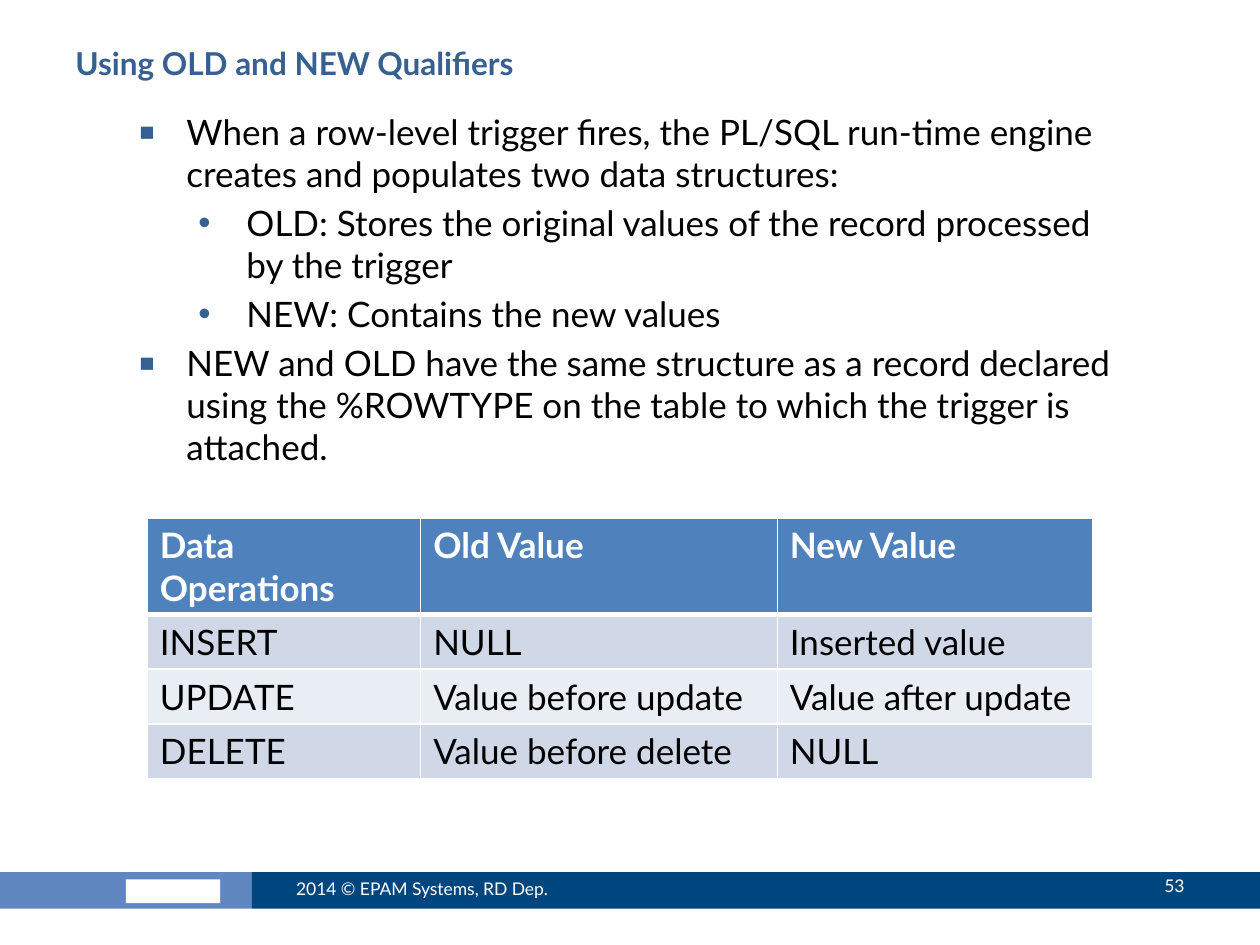
from lxml import etree
from pptx import Presentation
from pptx import util as u
from pptx.dml import color
from pptx.enum import shapes, text
from pptx.oxml import ns

HUES = {
    "white": "FFFFFF",
    "black": "000000",
    "title": "376092",
    "navy": "00467E",
    "steel": "6087BF",
    "head": "4F81BD",
    "odd": "D0D8E8",
    "even": "E9EDF4",
}
FONT = "Lato"
POINTS = [
    (0, "When a row-level trigger fires, the PL/SQL run-time engine creates and populates two data structures:"),
    (1, "OLD: Stores the original values of the record processed by the trigger"),
    (1, "NEW: Contains the new values"),
    (0, "NEW and OLD have the same structure as a record declared using the %ROWTYPE on the table to which the trigger is attached."),
]
MARKS = [
    {"char": "▪", "size": 140, "left": 0.97},
    {"char": "•", "size": 100, "left": 2.18},
]
HANG = 0.97
ROWS = [
    ["Data Operations", "Old Value", "New Value"],
    ["INSERT", "NULL", "Inserted value"],
    ["UPDATE", "Value before update", "Value after update"],
    ["DELETE", "Value before delete", "NULL"],
]
WIDTHS = [5.51, 7.19, 6.35]


def rgb(hue):
    return color.RGBColor.from_string(HUES[hue])


def put(item, **values):
    for name, value in values.items():
        setattr(item, name, value)


def ink(para, size, hue, bold=False):
    put(para.font, name=FONT, size=u.Pt(size), bold=bold)
    para.font.color.rgb = rgb(hue)


def node(parent, tag, **values):
    return etree.SubElement(parent, ns.qn(tag), values)


def frame(slide, box, anchor=text.MSO_ANCHOR.TOP):
    area = slide.shapes.add_textbox(*map(u.Cm, box)).text_frame
    put(area, word_wrap=True, vertical_anchor=anchor)
    return area


def label(slide, box, words, size, hue, bold=False,
          anchor=text.MSO_ANCHOR.TOP, align=text.PP_ALIGN.LEFT):
    para = frame(slide, box, anchor).paragraphs[0]
    put(para, text=words, alignment=align)
    ink(para, size, hue, bold)


def block(slide, box, hue):
    shape = slide.shapes.add_shape(shapes.MSO_SHAPE.RECTANGLE, *map(u.Cm, box))
    shape.shadow.inherit = False
    shape.fill.solid()
    shape.fill.fore_color.rgb = rgb(hue)
    shape.line.fill.background()


def bullet(para, char, size, left):
    props = para._p.get_or_add_pPr()
    props.set("marL", str(u.Cm(left)))
    props.set("indent", str(-u.Cm(HANG)))
    node(node(props, "a:buClr"), "a:srgbClr", val=HUES["title"])
    node(props, "a:buSzPct", val=str(size * 1000))
    node(props, "a:buFont", typeface="Arial")
    node(props, "a:buChar", char=char)


def body(slide, box):
    area = frame(slide, box)
    for i, (level, words) in enumerate(POINTS):
        para = area.add_paragraph() if i else area.paragraphs[0]
        put(para, text=words, level=level)
        if i:
            para.space_before = u.Pt(4)
        bullet(para, **MARKS[level])
        ink(para, 20, "black")


def border(cell, row):
    props = cell._tc.get_or_add_tcPr()
    wide = {"T": 3 if row == 1 else 1, "B": 3 if row == 0 else 1}
    for side in "LRTB":
        line = node(props, "a:ln" + side, w=str(u.Pt(wide.get(side, 1))))
        node(node(line, "a:solidFill"), "a:srgbClr", val=HUES["white"])


def grid(slide, box):
    table = slide.shapes.add_table(len(ROWS), len(WIDTHS), *map(u.Cm, box)).table
    for column, width in zip(table.columns, WIDTHS):
        column.width = u.Cm(width)
    for r, row in enumerate(ROWS):
        table.rows[r].height = u.Cm(1.04)
        fill = "head" if r == 0 else "odd" if r % 2 else "even"
        for c, words in enumerate(row):
            cell = table.cell(r, c)
            cell.text = words
            ink(cell.text_frame.paragraphs[0], 20, "black" if r else "white", r == 0)
            border(cell, r)
            cell.fill.solid()
            cell.fill.fore_color.rgb = rgb(fill)


def footer(slide, box):
    x, y, w, h = box
    split = 5.08
    block(slide, (x, y, split, h), "steel")
    block(slide, (x + 2.54, y + 0.15, 1.9, 0.48), "white")
    block(slide, (x + split, y, w - split, h), "navy")
    mid = text.MSO_ANCHOR.MIDDLE
    label(slide, (x + 5.72, y - 0.18, 6.78, 1.02),
          "2014 © EPAM Systems, RD Dep.", 10, "white", anchor=mid)
    label(slide, (x + w - 4.01, y - 0.23, 2.74, 1.02), "53", 10, "white",
          anchor=mid, align=text.PP_ALIGN.RIGHT)


def main():
    deck = Presentation()
    put(deck, slide_width=u.Cm(25.4), slide_height=u.Cm(19.05))
    slide = deck.slides.add_slide(deck.slide_layouts[6])
    footer(slide, (0, 17.58, 25.4, 0.74))
    label(slide, (1.27, 0.76, 22.86, 1.98),
          "Using OLD and NEW Qualifiers", 18, "title", bold=True)
    body(slide, (2.54, 2.11, 20.32, 7.82))
    grid(slide, (2.97, 10.44, sum(WIDTHS), 4.16))
    deck.save("out.pptx")


if __name__ == "__main__":
    main()
